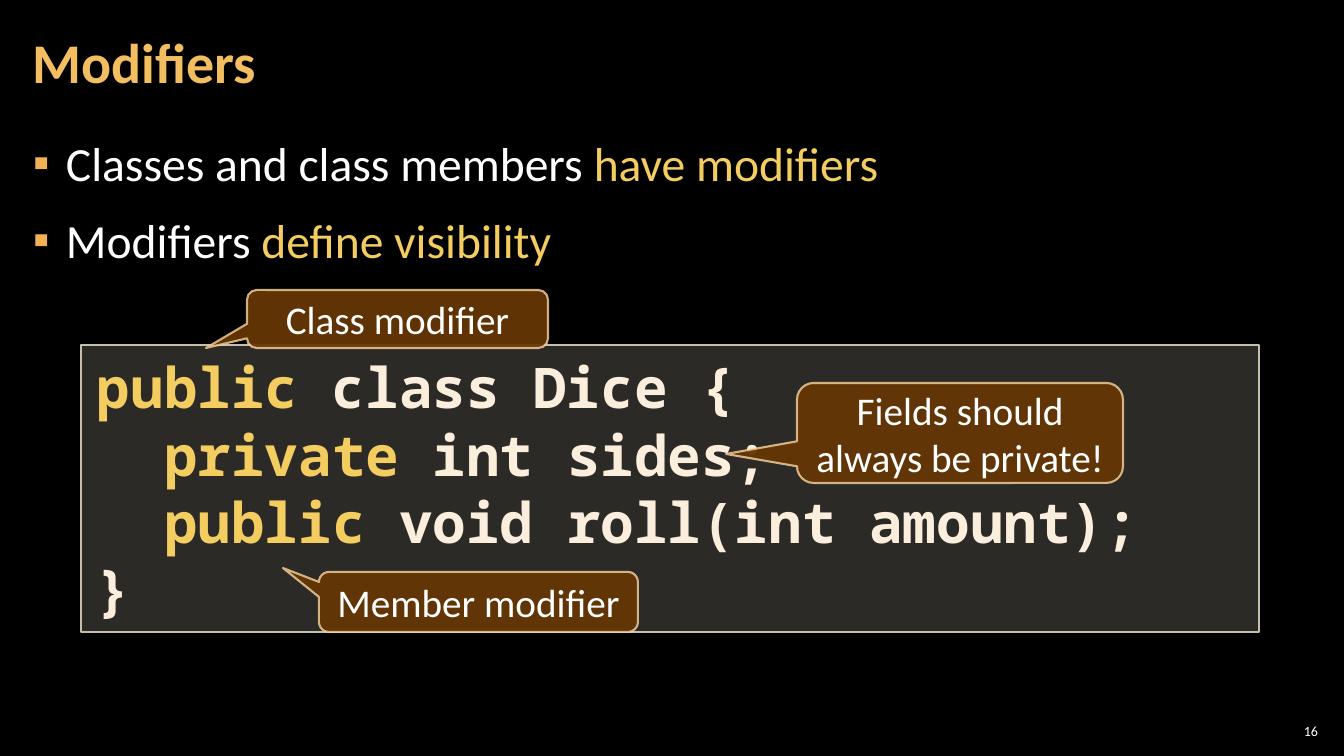
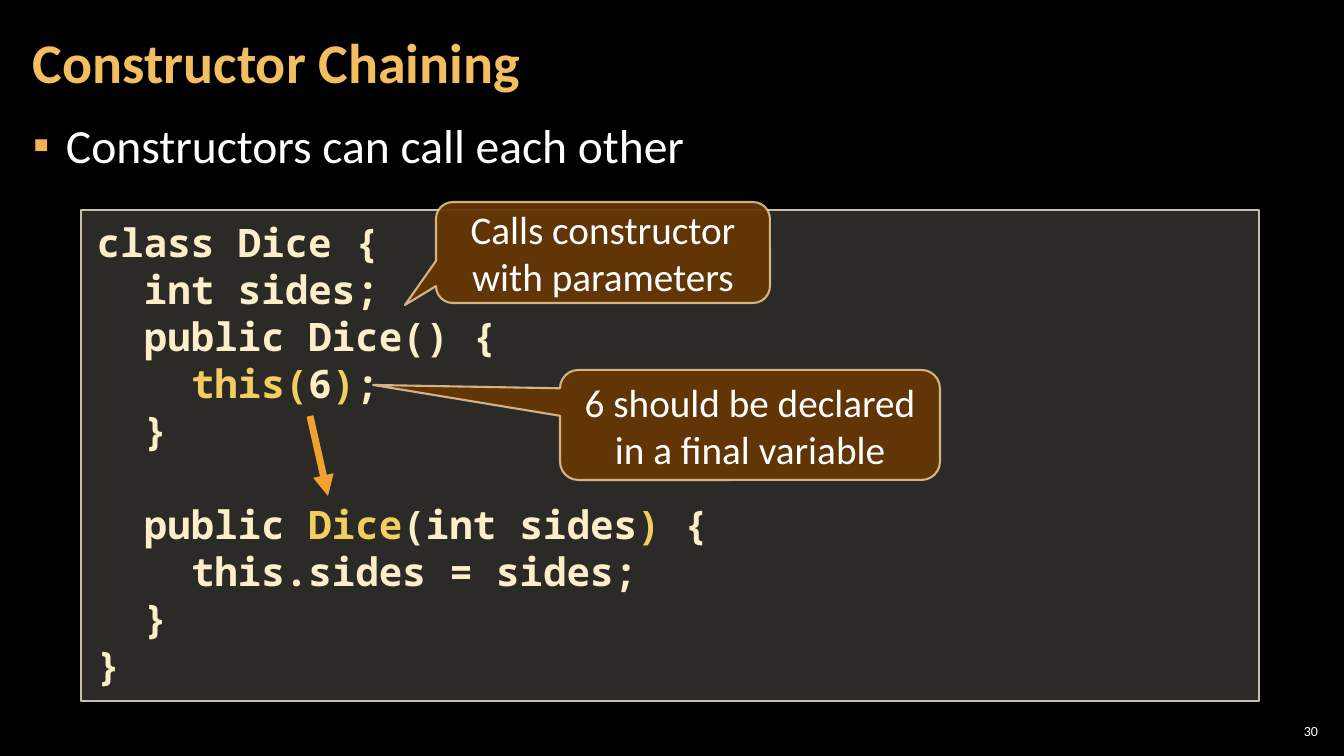
"""Build two dark lecture slides on Java modifiers and constructor chaining."""
from lxml.etree import SubElement
from pptx import Presentation
from pptx.dml.color import RGBColor as Rgb
from pptx.enum.shapes import MSO_CONNECTOR as Connector, MSO_SHAPE as Preset
from pptx.enum.text import MSO_ANCHOR as Anchor, MSO_AUTO_SIZE as AutoSize, PP_ALIGN as Align
from pptx.oxml.ns import qn
from pptx.util import Pt

SCALE = 914400 / 100.8
PAGE_WIDTH, PAGE_HEIGHT = 1344, 756
TITLE_BOX = (21, 4, 1055, 122)
NUMBER_BOX = (1275, 720, 47, 21)
TEXT_FONT, CODE_FONT = "Calibri", "Noto Sans Mono"
COLORS = {
    "background": "000000",
    "title": "F3BE60",
    "text": "FFFFFF",
    "highlight": "F3CD60",
    "bullet": "F2B254",
    "code_warm": "FBEEDC",
    "code_cream": "FBEEC9",
    "panel": "D9D5C7",
    "panel_line": "C7BFAC",
    "callout": "663606",
    "callout_line": "F8D49E",
    "arrow": "F0A22E",
}


def px(length):
    """Turn px into EMU."""
    return round(length * SCALE)


def color(name):
    """Look up a named colour."""
    return Rgb.from_string(COLORS[name])


def place(shape, box):
    """Move and size a shape to a px box."""
    shape.left, shape.top, shape.width, shape.height = map(px, box)


def set_frame(frame, inset_x, inset_y, anchor=Anchor.TOP):
    """Set the insets, anchor and wrapping of a text frame."""
    frame.margin_left = frame.margin_right = px(inset_x)
    frame.margin_top = frame.margin_bottom = px(inset_y)
    frame.vertical_anchor = anchor
    frame.word_wrap = True
    frame.auto_size = AutoSize.NONE


def style_span(span, size, tint, font=TEXT_FONT, bold=False):
    """Format one run."""
    span.font.size = Pt(size)
    span.font.name = font
    span.font.bold = bold
    span.font.color.rgb = color(tint)


def write_line(para, text, align=Align.LEFT, **style):
    """Write a paragraph in one style."""
    para.text = text
    para.alignment = align
    style_span(para.runs[0], **style)


def write_marked(para, text, size, tint, **style):
    """Write a paragraph, highlighting the parts between asterisks."""
    para.alignment = Align.LEFT
    for index, part in enumerate(text.split("*")):
        if part:
            span = para.add_run()
            span.text = part
            style_span(span, size, "highlight" if index % 2 else tint, **style)


def paragraphs(frame, items):
    """Yield a paragraph of the frame with each item."""
    for index, item in enumerate(items):
        yield (frame.add_paragraph() if index else frame.paragraphs[0]), item


def indent(para, left, first=0):
    """Set the left and first-line indents in EMU."""
    properties = para._p.get_or_add_pPr()
    properties.set("marL", str(left))
    properties.set("indent", str(first))
    return properties


def add_panel(page, preset, box, fill, line, weight, opacities):
    """Add an outlined shape with see-through fill and line."""
    shape = page.shapes.add_shape(preset, *map(px, box))
    shape.shadow.inherit = False
    shape.fill.solid()
    shape.fill.fore_color.rgb = color(fill)
    shape.line.color.rgb = color(line)
    shape.line.width = Pt(weight)
    for tint, percent in zip(shape.element.spPr.iter(qn("a:srgbClr")), opacities):
        SubElement(tint, qn("a:alpha")).set("val", str(percent * 1000))
    return shape


def add_title(page, box, text):
    """Fill the title placeholder."""
    title = page.shapes.title
    place(title, box)
    set_frame(title.text_frame, 12, 4, Anchor.MIDDLE)
    para = title.text_frame.paragraphs[0]
    write_line(para, text, size=40, tint="title", bold=True)
    para.line_spacing = 0.9


def add_bullets(page, box, items):
    """Fill the body placeholder with square bullets."""
    body = page.placeholders[1]
    place(body, box)
    set_frame(body.text_frame, 12, 4)
    for para, item in paragraphs(body.text_frame, items):
        write_marked(para, item, 34, "text")
        para.line_spacing = 1.05
        para.space_before = para.space_after = Pt(6)
        properties = indent(para, px(33), -px(33))
        tint = SubElement(properties, qn("a:buClr"))
        SubElement(tint, qn("a:srgbClr")).set("val", COLORS["bullet"])
        SubElement(properties, qn("a:buChar")).set("char", "▪")


def add_number(page, box, number):
    """Write the page number."""
    label = page.shapes.add_textbox(*map(px, box))
    set_frame(label.text_frame, 4, 4, Anchor.MIDDLE)
    write_line(label.text_frame.paragraphs[0], str(number), Align.RIGHT, size=10, tint="text")


def add_code(page, box, lines, size, tint):
    """Add a code panel from lines of (depth, blank lines above, text)."""
    panel = add_panel(page, Preset.RECTANGLE, box, "panel", "panel_line", 1, (20, 100))
    set_frame(panel.text_frame, 16, 8)
    step = Pt(size * 1.2)
    for para, (depth, blanks, text) in paragraphs(panel.text_frame, lines):
        write_marked(para, text, size, tint, font=CODE_FONT, bold=True)
        indent(para, depth * step)
        if blanks:
            para.space_before = blanks * step


def add_callout(page, origin, box, tip, text):
    """Add a speech callout, box and tip being relative to the origin."""
    left, top, width, height = box
    panel_box = (origin[0] + left, origin[1] + top, width, height)
    callout = add_panel(page, Preset.ROUNDED_RECTANGULAR_CALLOUT, panel_box,
                        "callout", "callout_line", 1.5, (95, 80))
    callout.adjustments[0] = (tip[0] - left) / width - 0.5
    callout.adjustments[1] = (tip[1] - top) / height - 0.5
    set_frame(callout.text_frame, 10, 5, Anchor.MIDDLE)
    write_line(callout.text_frame.paragraphs[0], text, Align.CENTER, size=28, tint="text")


def add_arrow(page, origin, start, end):
    """Add a thick arrow between two points relative to the origin."""
    points = [px(base + offset) for point in (start, end) for base, offset in zip(origin, point)]
    arrow = page.shapes.add_connector(Connector.STRAIGHT, *points)
    arrow.line.color.rgb = color("arrow")
    arrow.line.width = Pt(5)
    SubElement(arrow.line._get_or_add_ln(), qn("a:tailEnd")).set("type", "triangle")
    SubElement(arrow._element.spPr, qn("a:effectLst"))


def add_code_page(deck, number, title, body_top, bullets, code_box, code, callouts, arrows=()):
    """Add a slide with bullets above an annotated code panel."""
    page = deck.slides.add_slide(deck.slide_layouts[1])
    add_number(page, NUMBER_BOX, number)
    add_title(page, TITLE_BOX, title)
    add_bullets(page, (21, body_top, 1301, 614), bullets)
    add_code(page, code_box, **code)
    for arrow in arrows:
        add_arrow(page, code_box[:2], *arrow)
    for callout in callouts:
        add_callout(page, code_box[:2], *callout)


def main():
    """Build and save the deck."""
    deck = Presentation()
    deck.slide_width, deck.slide_height = px(PAGE_WIDTH), px(PAGE_HEIGHT)
    backdrop = deck.slide_master.background.fill
    backdrop.solid()
    backdrop.fore_color.rgb = color("background")

    add_code_page(
        deck, 16, "Modifiers", 127,
        ["Classes and class members *have modifiers*", "Modifiers* define visibility*"],
        (81, 345, 1178, 287),
        {"size": 40, "tint": "code_warm", "lines": [
            (0, 0, "*public *class Dice {"),
            (1, 0, "*private* int sides;"),
            (1, 0, "*public* void roll(int amount);"),
            (0, 0, "}"),
        ]},
        [
            ((166, -55, 301, 58), (125, 3), "Class modifier"),
            ((238, 227, 319, 60), (202, 223), "Member modifier"),
            ((716, 38, 326, 100), (645, 109), "Fields should always be private!"),
        ],
    )
    add_code_page(
        deck, 30, "Constructor Chaining", 109,
        ["Constructors can call each other"],
        (81, 210, 1178, 491),
        {"size": 28, "tint": "code_cream", "lines": [
            (0, 0, "class Dice {"),
            (1, 0, "int sides;"),
            (1, 0, "public Dice() {"),
            (2, 0, "*this(*6*)*;"),
            (1, 0, "}"),
            (1, 1, "public *Dice*(int sides*)* {"),
            (2, 0, "this.sides = sides;"),
            (1, 0, "}"),
            (0, 0, "}"),
        ]},
        [
            ((355, -8, 334, 101), (324, 95), "Calls constructor with parameters"),
            ((479, 160, 380, 110), (292, 175), "6 should be declared in a final variable"),
        ],
        [((229, 206), (247, 286))],
    )
    deck.save("out.pptx")


if __name__ == "__main__":
    main()
